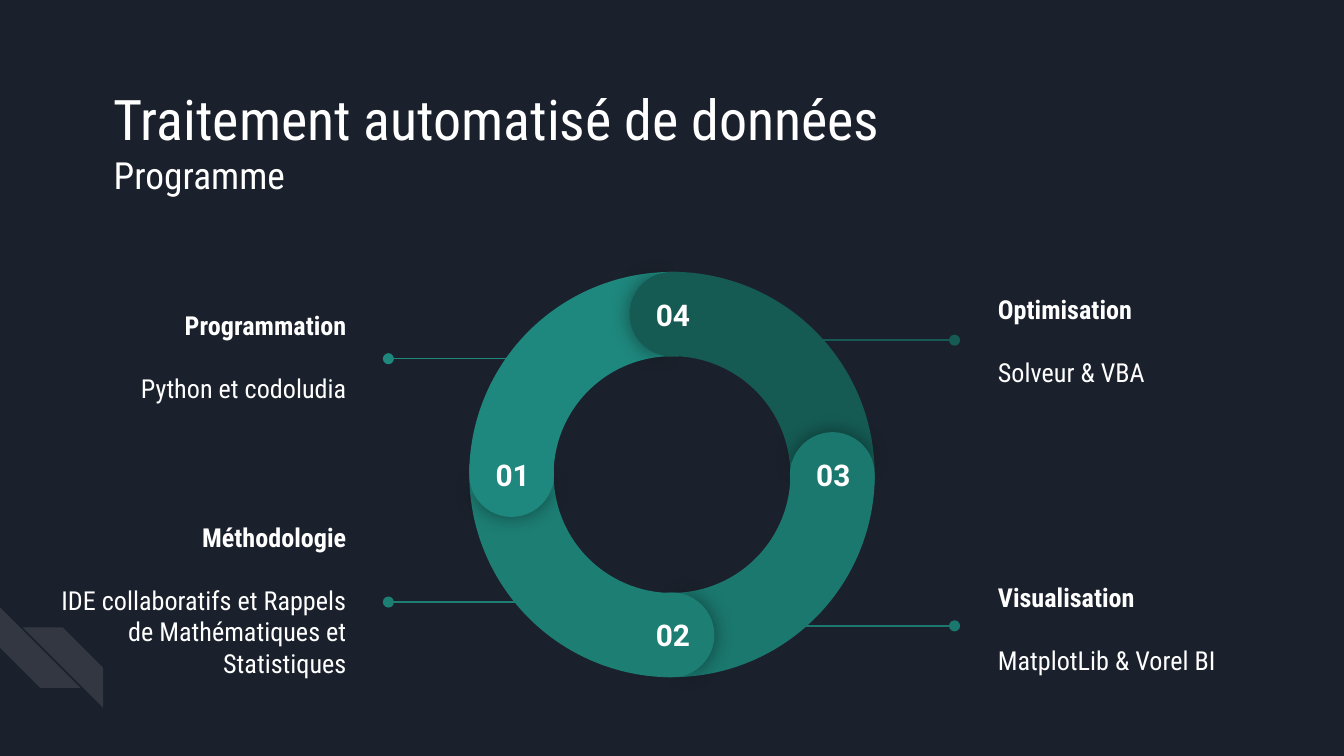
from math import cos, radians, sin

from lxml.etree import SubElement
from pptx import Presentation
from pptx.dml.color import RGBColor
from pptx.enum.shapes import MSO_CONNECTOR, MSO_SHAPE
from pptx.enum.text import MSO_ANCHOR, PP_ALIGN
from pptx.oxml.ns import qn
from pptx.util import Cm, Pt

WHITE = "FFFFFF"
CX, CY = 12.7, 8.97  # ring centre
RING, CAP = 7.66, 1.6  # diameters
MID = (RING - CAP) / 2  # radius of the middle of the band


def add_shape(kind, x, y, size, color, rot=0, adj=()):
    sp = s.shapes.add_shape(kind, Cm(x), Cm(y), Cm(size), Cm(size))
    sp.shadow.inherit = False
    sp.fill.solid()
    sp.fill.fore_color.rgb = RGBColor.from_string(color)
    sp.line.fill.background()
    sp.rotation = rot
    for i, value in enumerate(adj):
        sp.adjustments[i] = value
    return sp


def add_text(x, y, w, h, lines, font="Roboto Condensed", align=PP_ALIGN.LEFT,
             anchor=MSO_ANCHOR.TOP, gap=0):
    """Add a text box; lines holds (text, size, bold), gap is the space between them."""
    tf = s.shapes.add_textbox(Cm(x), Cm(y), Cm(w), Cm(h)).text_frame
    tf.word_wrap = True
    tf.vertical_anchor = anchor
    tf.margin_left = tf.margin_right = tf.margin_top = tf.margin_bottom = Cm(0.25)
    for i, (text, size, bold) in enumerate(lines):
        p = tf.add_paragraph() if i else tf.paragraphs[0]
        p.text = text
        p.alignment = align
        p.space_before = Pt(gap if i else 0)
        f = p.runs[0].font
        f.name, f.size, f.bold = font, Pt(size), bold
        f.color.rgb = RGBColor.from_string(WHITE)


prs = Presentation()
prs.slide_width, prs.slide_height = Cm(25.4), Cm(14.29)
s = prs.slides.add_slide(prs.slide_layouts[6])
s.background.fill.solid()
s.background.fill.fore_color.rgb = RGBColor.from_string("1B212C")

# Corner stripes
lower = add_shape(MSO_SHAPE.DIAGONAL_STRIPE, 0, 11.48, 1.52, WHITE, 270, [0.5])
upper = add_shape(MSO_SHAPE.DIAGONAL_STRIPE, 0.43, 11.86, 1.52, WHITE, 0, [0.5])
upper._element.spPr.find(qn("a:xfrm")).set("flipH", "1")
for sp in (lower, upper):
    clr = sp._element.spPr.find(qn("a:solidFill"))[0]
    SubElement(clr, qn("a:alpha"), val="10000")

add_text(1.9, 1.35, 16.92, 3.3,
         [("Traitement automatisé de données", 30, False), ("Programme", 20, False)])

# Ring: number, colour, angle of the rounded cap clockwise from the top
steps = [("02", "1D7E74", 180), ("01", "1F887E", 270),
         ("04", "155B54", 0), ("03", "1B786E", 90)]
for _, color, angle in steps:
    add_shape(MSO_SHAPE.BLOCK_ARC, CX - RING / 2, CY - RING / 2, RING, color,
              (angle + 60) % 360, [126.2, 181.8, 0.208])

for number, color, angle in steps:
    x = CX + MID * sin(radians(angle))
    y = CY - MID * cos(radians(angle))
    left, top = x - CAP / 2, y - CAP / 2
    front = add_shape(MSO_SHAPE.PIE, left, top, CAP, color, angle + 0.7, [61.9, 149.96])
    shadow = SubElement(front._element.spPr.find(qn("a:effectLst")), qn("a:outerShdw"),
                        blurRad=str(Pt(11.2)), dist="0", algn="ctr", rotWithShape="0")
    clr = SubElement(shadow, qn("a:srgbClr"), val="000000")
    SubElement(clr, qn("a:alpha"), val="43000")
    add_shape(MSO_SHAPE.PIE, left, top, CAP, color, (angle + 180) % 360, [40.28, 171.84])
    add_text(x - 0.68, y - 0.59, 1.4, 0.74, [(number, 16, True)], "Roboto", PP_ALIGN.CENTER)

# Callouts: heading, body, text left and top, line colour, ring end, dot end, line height
RIGHT, LEFT = PP_ALIGN.RIGHT, PP_ALIGN.LEFT
callouts = [
    ("Programmation", "Python et codoludia", RIGHT, 0.91, 4.95, "1F887E", 10.24, 7.34, 6.78),
    ("Méthodologie", "IDE collaboratifs et Rappels de Mathématiques et Statistiques",
     RIGHT, 0.91, 9.55, "1D7E74", 10.97, 7.34, 11.38),
    ("Optimisation", "Solveur & VBA", LEFT, 18.61, 4.65, "155B54", 14.48, 18.04, 6.43),
    ("Visualisation", "MatplotLib & Vorel BI", LEFT, 18.61, 10.09, "1B786E", 14.48, 18.04, 11.83),
]
for heading, body, align, x, y, color, ring_x, dot_x, line_y in callouts:
    add_text(x, y, 5.89, 3.58, [(heading, 14, True), (body, 14, False)],
             align=align, anchor=MSO_ANCHOR.MIDDLE, gap=17)
    line = s.shapes.add_connector(MSO_CONNECTOR.STRAIGHT, Cm(ring_x), Cm(line_y),
                                  Cm(dot_x), Cm(line_y))
    line.line.color.rgb = RGBColor.from_string(color)
    line.line.width = Pt(0.75)
    SubElement(line.line._get_or_add_ln(), qn("a:tailEnd"), type="oval")
    SubElement(line._element.spPr, qn("a:effectLst"))

prs.save("out.pptx")
